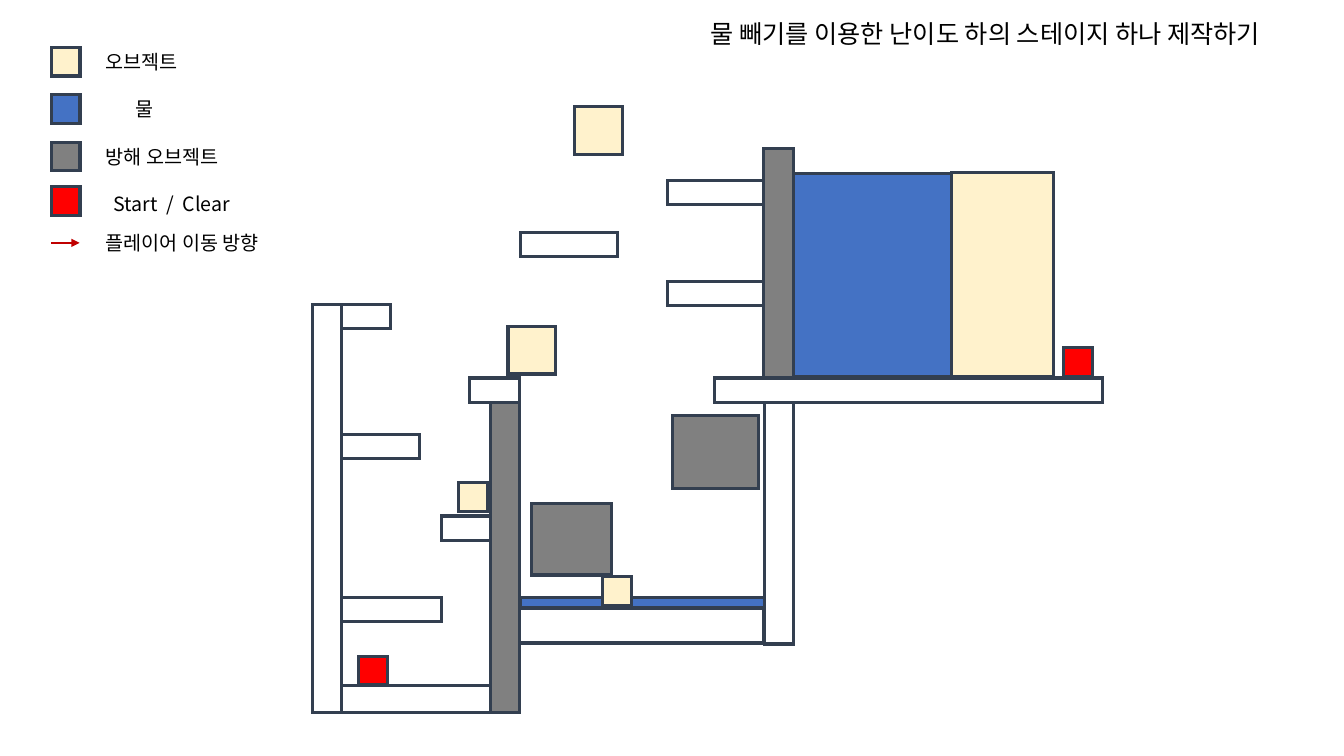
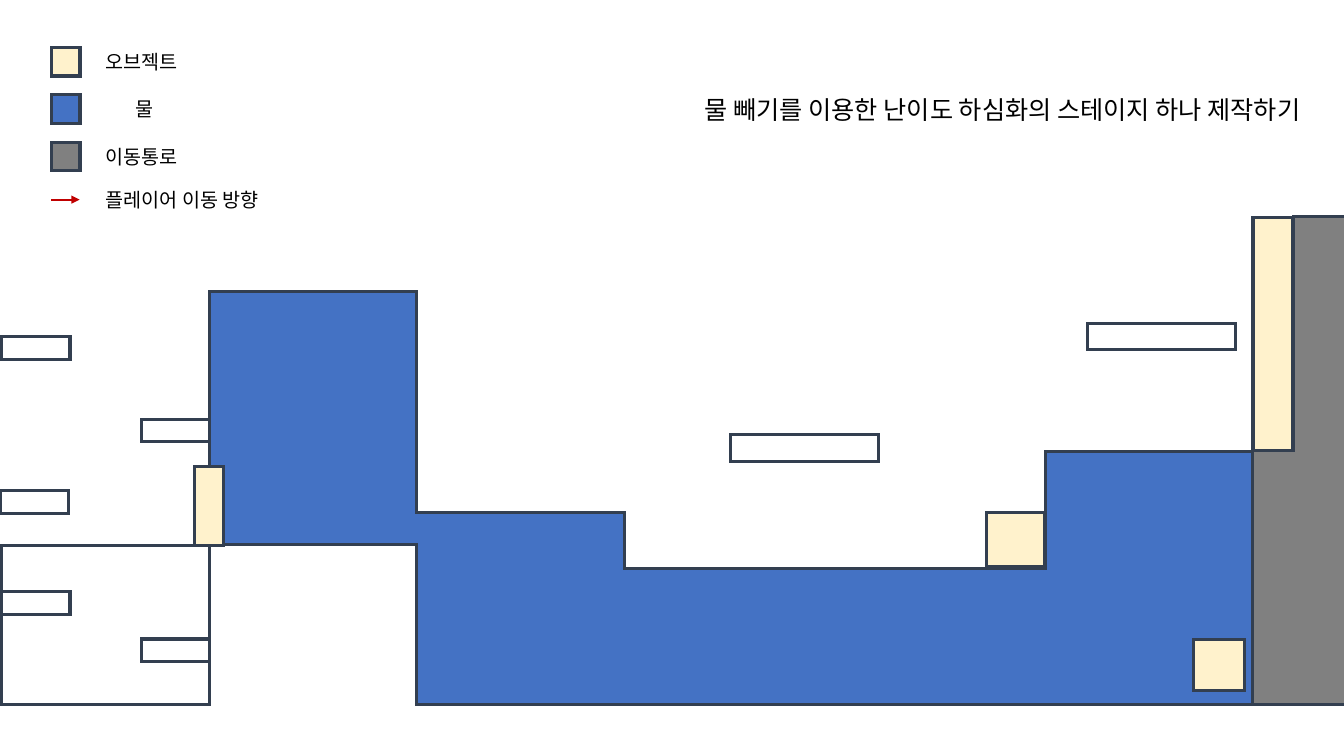
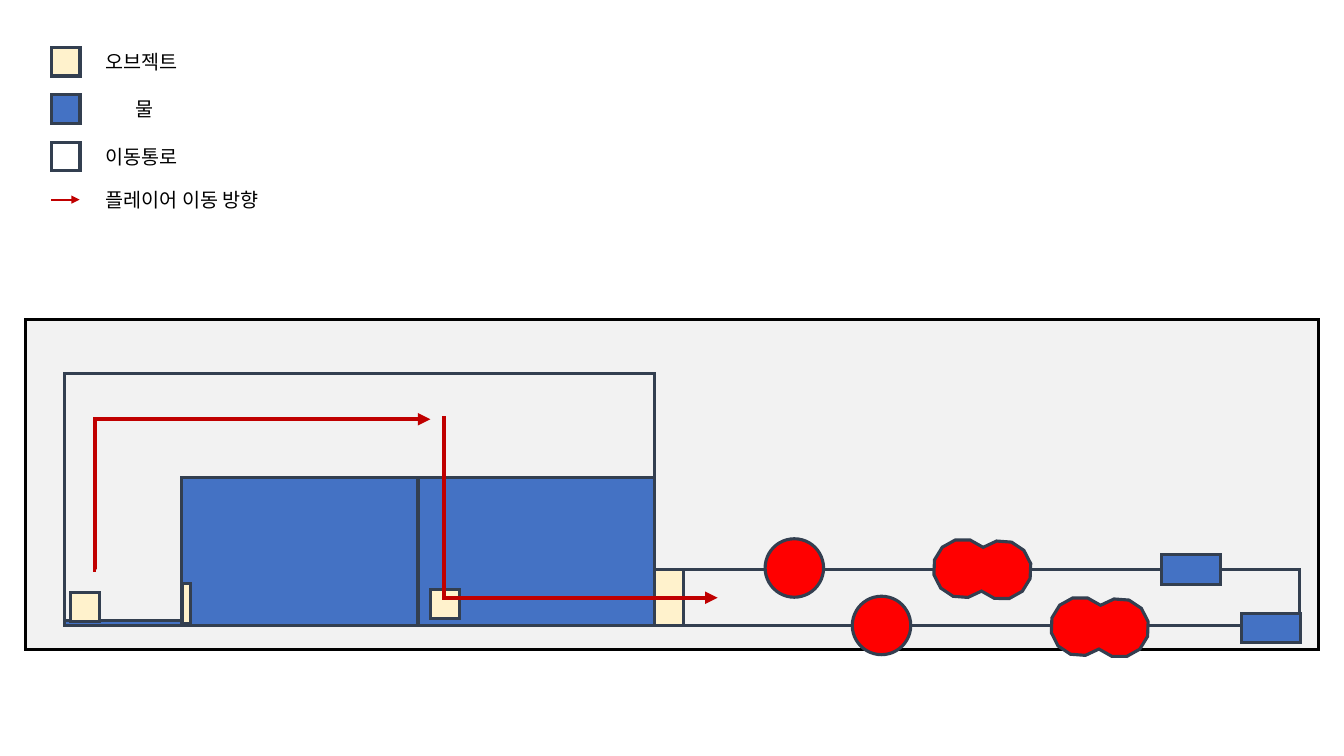
import math

import lxml.etree
import pptx
import pptx.dml.color
import pptx.enum.shapes
import pptx.enum.text
import pptx.oxml.ns
import pptx.util

SHAPE = pptx.enum.shapes.MSO_SHAPE
WIRE = pptx.enum.shapes.MSO_CONNECTOR
qn = pptx.oxml.ns.qn


def hue(code):
    return pptx.dml.color.RGBColor.from_string(code)


class Deck:
    """Draws stage maps on a grid of tenth-inch columns and rows."""

    cell = pptx.util.Inches(0.1)
    font = "Noto Sans CJK KR"
    ink = "000000"
    edge = "333F50"
    path_ink = "C00000"
    side = 2.85
    fills = {"wall": None, "item": "FFF2CC", "water": "4472C4",
             "block": "808080", "goal": "FF0000", "ground": "F2F2F2"}

    def __init__(self):
        self.show = pptx.Presentation()
        self.show.slide_width = self.grid(133.33)
        self.show.slide_height = self.grid(75)

    def grid(self, count):
        return pptx.util.Emu(round(count * self.cell))

    def page(self):
        self.slide = self.show.slides.add_slide(self.show.slide_layouts[6])
        self.shapes = self.slide.shapes

    def stroke(self, shape, code, width):
        shape.line.color.rgb = hue(code)
        shape.line.width = pptx.util.Pt(width)
        line = shape._element.spPr.find(qn("a:ln"))
        lxml.etree.SubElement(line, qn("a:miter"), lim="800000")
        return line

    def paint(self, shape, kind, edge=None):
        shape.shadow.inherit = False
        if self.fills[kind]:
            shape.fill.solid()
            shape.fill.fore_color.rgb = hue(self.fills[kind])
        else:
            shape.fill.background()
        self.stroke(shape, edge or self.edge, 2.25)

    def box(self, kind, *area, form=SHAPE.RECTANGLE, edge=None):
        shape = self.shapes.add_shape(form, *map(self.grid, area))
        self.paint(shape, kind, edge)

    def boxes(self, kind, *areas):
        for area in areas:
            self.box(kind, *area)

    def squares(self, kind, side, *spots):
        for left, top in spots:
            self.box(kind, left, top, side, side)

    def bars(self, width, height, *spots):
        for left, top in spots:
            self.box("wall", left, top, width, height)

    def outline(self, kind, points):
        first, *rest = [(self.grid(x), self.grid(y)) for x, y in points]
        pen = self.shapes.build_freeform(*first, scale=1.0)
        pen.add_line_segments(rest, close=True)
        self.paint(pen.convert_to_shape(), kind)

    def ball(self, left, top):
        self.box("goal", left, top, 5.8, 5.8, form=SHAPE.OVAL)

    def twins(self, x, y, gap=3.9, drop=0.15, radius=2.92, steps=9):
        tilt = math.atan2(drop, gap)
        half = math.acos(math.hypot(gap, drop) / 2 / radius)
        points = []
        for shift, fall, start in ((0, 0, 0), (gap, drop, math.pi)):
            for step in range(steps):
                turn = tilt + start + half + (math.tau - 2 * half) * step / steps
                points.append((x + shift + radius * math.cos(turn),
                               y + fall + radius * math.sin(turn)))
        self.outline("goal", points)

    def text(self, words, left, top, width, height=3.4, size=14):
        area = map(self.grid, (left, top, width, height))
        frame = self.shapes.add_textbox(*area).text_frame
        frame.word_wrap = False
        frame.auto_size = pptx.enum.text.MSO_AUTO_SIZE.SHAPE_TO_FIT_TEXT
        run = frame.paragraphs[0].add_run()
        run.text = words
        run.font.name = self.font
        run.font.size = pptx.util.Pt(size)
        run.font.color.rgb = hue(self.ink)

    def title(self, words, left, top, width):
        self.text(words, left, top, width, height=4, size=18)

    def arrow(self, start, end, width=1.5, bend=None):
        kind = WIRE.STRAIGHT if bend is None else WIRE.ELBOW
        wire = self.shapes.add_connector(kind, *map(self.grid, start + end))
        line = self.stroke(wire, self.path_ink, width)
        lxml.etree.SubElement(line, qn("a:tailEnd"), type="triangle")
        props = wire._element.spPr
        lxml.etree.SubElement(props, qn("a:effectLst"))
        if bend is not None:
            geom = props.find(qn("a:prstGeom"))
            marks = geom.find(qn("a:avLst"))
            if marks is None:
                marks = lxml.etree.SubElement(geom, qn("a:avLst"))
            lxml.etree.SubElement(marks, qn("a:gd"), name="adj1",
                                  fmla=f"val {round(bend * 100000)}")

    def legend(self, kind, words, width, row):
        marks = (("item", "오브젝트", 9.5, 9.9), ("water", "물", 12.5, 4),
                 (kind, words, 9.5, width))
        for step, (mark, name, left, span) in enumerate(marks):
            top = 4.7 * (step + 1)
            self.squares(mark, self.side, (5.1, top))
            self.text(name, left, top - 0.25, span)
        self.arrow((5.1, row), (7.9, row))
        self.text("플레이어 이동 방향", 9.5, row - 1.65, 19.1)


def basic(deck):
    deck.page()
    deck.legend("block", "방해 오브젝트", 14.5, 24.1)
    deck.squares("goal", deck.side, (5.1, 18.5))
    deck.text("Start  /  Clear", 10.25, 18.6, 14.2)
    deck.title("물 빼기를 이용한 난이도 하의 스테이지 하나 제작하기", 69.5, 1.3, 63.8)
    deck.boxes("wall", (31, 30.2, 2.85, 40.45), (33.85, 68, 17.7, 2.7),
               (33.85, 59.3, 9.95, 2.4), (33.85, 43.1, 7.8, 2.4),
               (51.5, 60.4, 24.3, 3.4), (75.8, 39.9, 2.9, 24),
               (70.9, 37.5, 38.5, 2.4))
    deck.bars(4.9, 2.4, (43.8, 51.2), (46.6, 37.5), (33.85, 30.2))
    deck.bars(9.65, 2.4, (66.2, 27.9), (51.6, 23.05), (66.2, 17.9))
    deck.boxes("block", (52.75, 49.95, 7.95, 7.1), (48.7, 39.9, 2.8, 30.8),
               (75.75, 14.7, 2.95, 22.8), (66.7, 41.2, 8.55, 7.25))
    deck.boxes("water", (78.7, 17.2, 15.7, 20.2), (51.6, 59.3, 24.25, 1))
    deck.box("item", 94.4, 17.1, 10.1, 20.3)
    deck.squares("item", deck.side, (59.8, 57.2), (45.5, 47.9))
    deck.squares("item", 4.75, (50.4, 32.35), (57, 10.55))
    deck.squares("goal", deck.side, (105.5, 34.5), (35.6, 65.1))


def deeper(deck):
    deck.page()
    deck.legend("block", "이동통로", 9.9, 19.8)
    deck.title("물 빼기를 이용한 난이도 하심화의 스테이지 하나 제작하기", 68.9, 8.85, 69.6)
    deck.box("wall", 0.15, 54.1, 20.65, 15.8)
    deck.bars(6.8, 2.25, (0.15, 58.7), (14, 63.4), (14, 41.6), (0.15, 33.4), (0, 48.7))
    deck.bars(14.7, 2.65, (107.9, 32.05), (72.5, 43.1))
    deck.outline("water", [(20.8, 28.9), (41.35, 28.9), (41.35, 50.85),
                           (61.95, 50.85), (61.95, 56.4), (103.7, 56.4),
                           (103.7, 44.8), (124.3, 44.8), (124.3, 69.9),
                           (103.7, 69.9), (61.95, 69.9), (41.35, 69.9),
                           (41.35, 54), (20.8, 54)])
    deck.boxes("item", (19.3, 46.3, 2.9, 7.85), (97.9, 50.85, 5.75, 5.4),
               (118.4, 63.4, 5.1, 5.1), (124.3, 21.55, 3.9, 23.2))
    deck.outline("block", [(128.3, 21.5), (144.1, 21.5), (144.1, 46.7),
                           (140.1, 46.7), (140.1, 69.9), (124.25, 69.9),
                           (124.25, 44.7), (128.3, 44.7)])


def tunnel(deck):
    deck.page()
    deck.box("ground", 2.55, 31.7, 128.25, 32.75, edge=deck.ink)
    deck.legend("wall", "이동통로", 9.9, 19.8)
    deck.boxes("water", (6.4, 61.6, 11.6, 0.5), (18, 47.4, 23.45, 14.7),
               (41.5, 47.4, 23.45, 14.7))
    deck.outline("wall", [(6.4, 37.1), (18, 37.1), (64.95, 37.1), (64.95, 47.4),
                          (18, 47.4), (18, 62.1), (6.4, 62.1), (6.4, 47.4)])
    deck.box("wall", 64.95, 56.5, 63.95, 5.55)
    deck.squares("item", deck.side, (7, 58.8), (42.7, 58.5))
    deck.boxes("item", (64.95, 56.5, 2.85, 5.55), (18.1, 57.9, 0.85, 4))
    deck.arrow((9.5, 56.5), (42.7, 41.6), width=3, bend=-0.002)
    deck.arrow((43.9, 41.5), (71.2, 59.3), width=3, bend=0.006)
    deck.ball(75.9, 53.45)
    deck.ball(84.55, 59.15)
    deck.twins(95.5, 56.4)
    deck.twins(107.15, 62.15)
    deck.boxes("water", (115.2, 55.05, 5.85, 2.9), (123.15, 60.85, 5.85, 2.9))


def main():
    deck = Deck()
    for stage in (basic, deeper, tunnel):
        stage(deck)
    deck.show.save("out.pptx")


if __name__ == "__main__":
    main()
